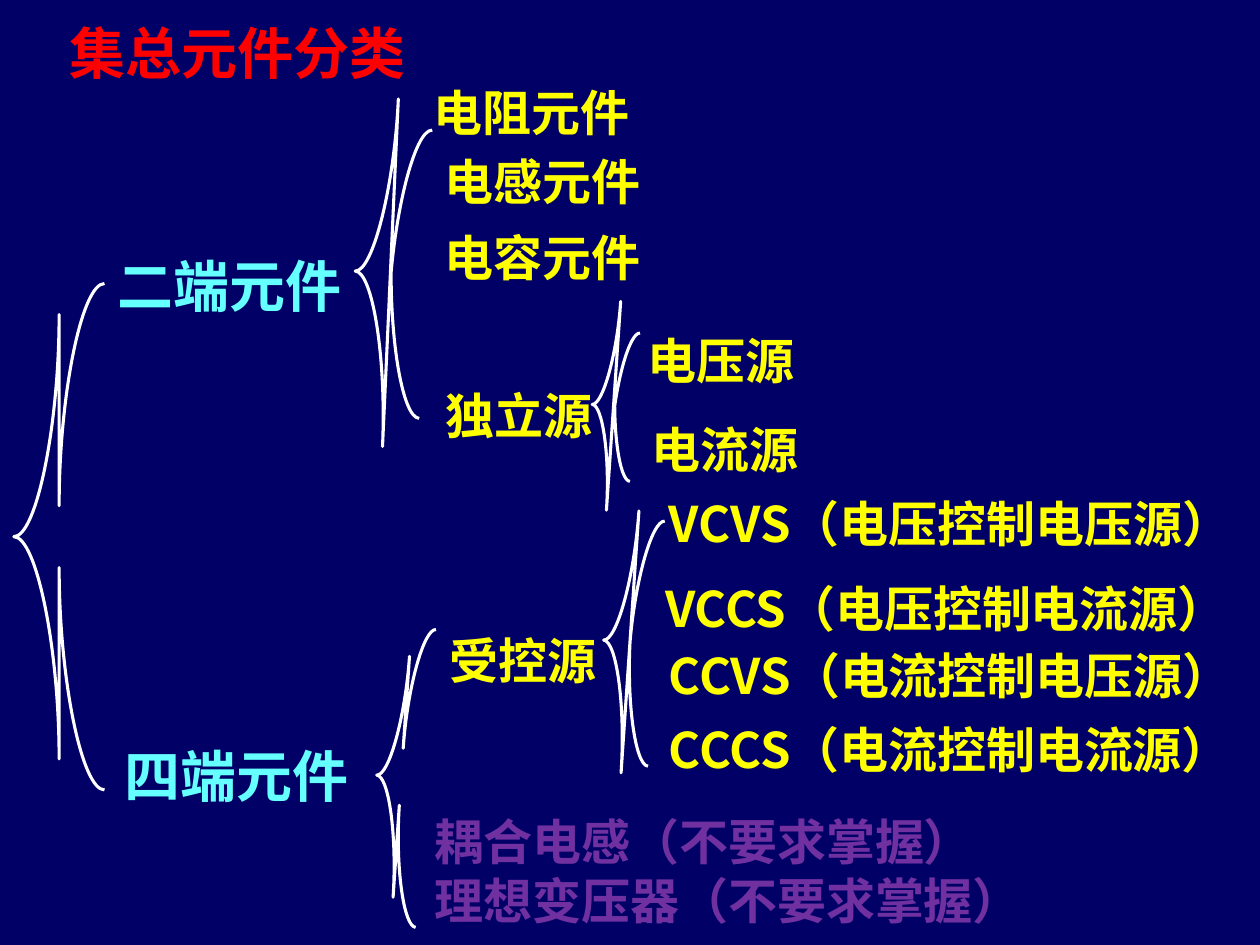
import math

import pptx
import pptx.dml.color
import pptx.enum.text
import pptx.oxml.ns
import pptx.util
from lxml import etree

Pt = pptx.util.Pt
qn = pptx.oxml.ns.qn

COLORS = {
    "background": "000066",
    "title": "FF0000",
    "heading": "66FFFF",
    "item": "FFFF00",
    "optional": "7030A0",
    "line": "FFFFFF",
}
CJK = "Noto Sans CJK SC"
INSETS = (7.2, 3.6)


def rgb(name):
    return pptx.dml.color.RGBColor.from_string(COLORS[name])


def format_text(sp, lines, size, color, font=CJK, spacing=1.0, insets=INSETS):
    tf = sp.text_frame
    tf.text = "\n".join(lines)
    tf.word_wrap = True
    tf.auto_size = pptx.enum.text.MSO_AUTO_SIZE.NONE
    tf.vertical_anchor = pptx.enum.text.MSO_ANCHOR.TOP
    tf.margin_left = tf.margin_right = Pt(insets[0])
    tf.margin_top = tf.margin_bottom = Pt(insets[1])
    for p in tf.paragraphs:
        p.alignment = pptx.enum.text.PP_ALIGN.LEFT
        p.line_spacing = spacing
        p.space_before = Pt(0)
        pPr = p._p.get_or_add_pPr()
        pPr.set("marL", "0")
        pPr.set("indent", "0")
        etree.SubElement(pPr, qn("a:buNone"))
        for r in p.runs:
            r.font.size = Pt(size)
            r.font.bold = True
            r.font.name = font
            r.font.color.rgb = rgb(color)
            ea = etree.SubElement(r._r.get_or_add_rPr(), qn("a:ea"))
            ea.set("typeface", CJK)


def place(sp, x, y, w, h):
    sp.left, sp.top, sp.width, sp.height = Pt(x), Pt(y), Pt(w), Pt(h)


def add_label(s, text, x, y, w, h, size=28, color="item", **style):
    sp = s.shapes.add_textbox(Pt(x), Pt(y), Pt(w), Pt(h))
    format_text(sp, [text], size, color, **style)


def add_brace(s, x, y, w, h, arc, angle=0):
    cx, cy, a, b = x + w / 2, y + h / 2, w / 2, h / 2
    cos, sin = math.cos(math.radians(angle)), math.sin(math.radians(angle))

    def turn(dx, dy):
        return (Pt(cx + dx * cos - dy * sin), Pt(cy + dx * sin + dy * cos))

    lower = [(a, b), (a / 2, b), (0, b - arc / 2), (0, b - arc),
             (0, arc), (0, arc / 2), (-a / 2, 0)]
    upper = [(dx, -dy) for dx, dy in reversed(lower)]
    pts = [turn(*pt) for pt in lower + [(-a, 0)] + upper]
    builder = s.shapes.build_freeform(*pts[0])
    builder.add_line_segments(pts[1:], close=False)
    sp = builder.convert_to_shape()
    segments = sp._element.findall(".//" + qn("a:lnTo"))
    for i in (0, 4, 7, 11):
        curve = segments[i]
        for extra in segments[i + 1:i + 3]:
            curve.append(extra[0])
            extra.getparent().remove(extra)
        curve.tag = qn("a:cubicBezTo")
    sp.fill.background()
    sp.line.color.rgb = rgb("line")
    sp.line.width = Pt(1.75)
    sp.shadow.inherit = False


def add_title(s, x, y, w, h):
    sp = s.shapes.title
    place(sp, x, y, w, h)
    format_text(sp, ["集总元件分类"], 32, "title")


def add_two_terminal(s, x, y):
    add_label(s, "二端元件", x, y + 96.5, 173, 53, 32, "heading", spacing=1.2)
    add_brace(s, x + 143, y + 37.4, 40.3, 164.9, 99.4, 2.6)
    for text, dx, dy, spacing in (
        ("电阻元件", 180.5, 0.7, 1.2),
        ("电感元件", 187, 46.8, 1),
        ("电容元件", 187, 90.7, 1),
        ("独立源", 187.7, 174.2, 1.2),
    ):
        add_label(s, text, x + dx, y + dy, 157, 47, spacing=spacing)
    add_brace(s, x + 278.4, y + 153.4, 24.5, 85, 59.8, 3.9)
    for text, dx, dy in (("电压源", 310, 152.6), ("电流源", 312.2, 203.8)):
        add_label(s, text, x + dx, y + dy, 120, 34, font="Arial", insets=(0, 0))


def add_four_terminal(s, x, y):
    add_label(s, "四端元件", x, y + 130.6, 173, 53, 32, "heading", spacing=1.2)
    add_brace(s, x + 151.3, y + 76.6, 28.1, 170.6, 69, 3.9)
    add_label(s, "受控源", x + 185.8, y + 67.9, 130, 47, spacing=1.2)
    add_brace(s, x + 280.9, y + 14.6, 30.2, 140.4, 75, 3.9)
    for text, dx, dy in (
        ("VCVS（电压控制电压源）", 318.3, 0.2),
        ("VCCS（电压控制电流源）", 316.2, 48.5),
        ("CCVS（电流控制电压源）", 318.3, 86.6),
        ("CCCS（电流控制电流源）", 318.3, 129.1),
    ):
        add_label(s, text, x + dx, y + dy, 335, 34, insets=(0, 0))
    body = s.placeholders[1]
    place(body, x + 177.2, y + 178.1, 360, 79)
    format_text(body, ["耦合电感（不要求掌握）", "理想变压器（不要求掌握）"],
                28, "optional")


def main():
    prs = pptx.Presentation()
    prs.slide_width, prs.slide_height = Pt(720), Pt(540)
    s = prs.slides.add_slide(prs.slide_layouts[1])
    s.background.fill.solid()
    s.background.fill.fore_color.rgb = rgb("background")
    add_title(s, 32.4, 7.2, 262, 46)
    add_brace(s, 7.9, 162, 51.8, 289.4, 127)
    add_two_terminal(s, 60, 36)
    add_four_terminal(s, 64, 282)
    prs.save("out.pptx")


if __name__ == "__main__":
    main()
